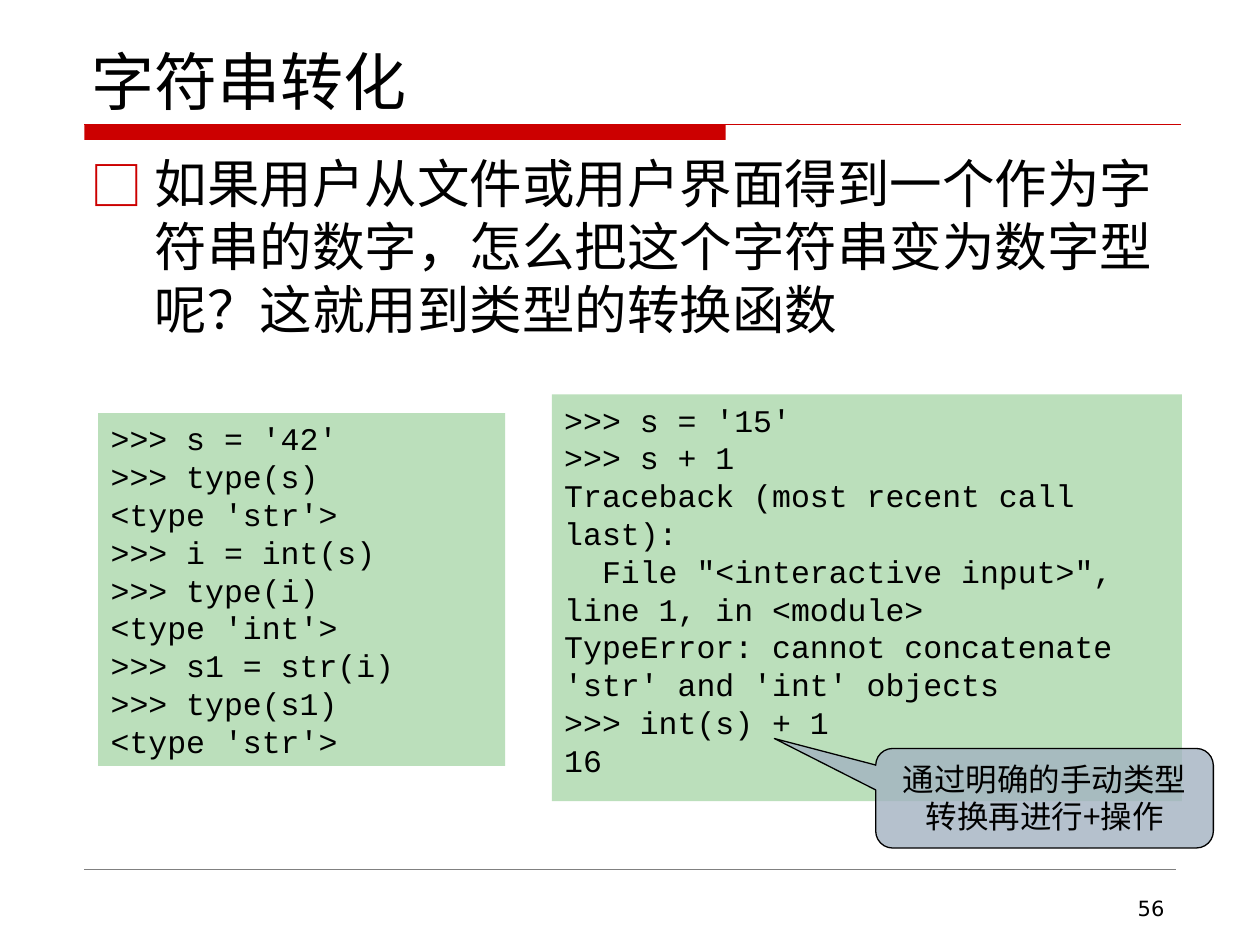
from lxml import etree
from pptx import Presentation
from pptx.dml.color import RGBColor
from pptx.enum.shapes import MSO_CONNECTOR, MSO_SHAPE
from pptx.enum.text import MSO_ANCHOR, PP_ALIGN
from pptx.oxml.ns import qn
from pptx.util import Inches, Pt

BLACK = RGBColor(0x00, 0x00, 0x00)
RED = RGBColor(0xCC, 0x00, 0x00)
GRAY = RGBColor(0x80, 0x80, 0x80)
GREEN = RGBColor(0xBB, 0xDF, 0xBB)
BLUE_GRAY = RGBColor(0xA3, 0xB2, 0xC1)
SANS, CJK, MONO = "DejaVu Sans", "Noto Sans CJK SC", "Courier New"


def write_text(shape, lines, size, font, align=PP_ALIGN.LEFT, anchor=MSO_ANCHOR.TOP):
    frame = shape.text_frame
    frame.word_wrap = True
    frame.vertical_anchor = anchor
    for index, line in enumerate(lines):
        paragraph = frame.paragraphs[0] if index == 0 else frame.add_paragraph()
        paragraph.alignment = align
        run = paragraph.add_run()
        run.text = line
        run.font.size = Pt(size)
        run.font.name = font
        run.font.color.rgb = BLACK
        east_asian = etree.SubElement(run._r.get_or_add_rPr(), qn("a:ea"))
        east_asian.set("typeface", CJK)


def add_rule(left, right, top, color, width):
    rule = slide.shapes.add_connector(
        MSO_CONNECTOR.STRAIGHT, Inches(left), Inches(top), Inches(right), Inches(top))
    rule.line.color.rgb = color
    rule.line.width = Pt(width)
    etree.SubElement(rule._element.spPr, qn("a:effectLst"))


presentation = Presentation()
presentation.slide_width = Inches(10)
presentation.slide_height = Inches(7.5)
slide = presentation.slides.add_slide(presentation.slide_layouts[6])

# Title underline and footer rule
bar = slide.shapes.add_shape(
    MSO_SHAPE.RECTANGLE, Inches(0.67), Inches(0.99), Inches(5.09), Inches(0.12))
bar.shadow.inherit = False
bar.fill.solid()
bar.fill.fore_color.rgb = RED
bar.line.fill.background()
add_rule(0.67, 9.37, 0.99, RED, 0.75)
add_rule(0.67, 9.33, 6.9, GRAY, 0.25)

# Title
title = slide.shapes.add_textbox(Inches(0.63), Inches(0.33), Inches(8.75), Inches(0.66))
write_text(title, ["字符串转化"], 36, SANS, anchor=MSO_ANCHOR.BOTTOM)

# Question with a square bullet
question = slide.shapes.add_textbox(Inches(0.62), Inches(1.15), Inches(8.75), Inches(5.43))
write_text(question, ["如果用户从文件或用户界面得到一个作为字符串的数字，"
                      "怎么把这个字符串变为数字型呢？这就用到类型的转换函数"], 30, CJK)
properties = question.text_frame.paragraphs[0]._p.get_or_add_pPr()
properties.set("marL", str(Inches(0.51)))
properties.set("indent", str(-Inches(0.51)))
bullet_color = etree.SubElement(properties, qn("a:buClr"))
etree.SubElement(bullet_color, qn("a:srgbClr")).set("val", str(RED))
etree.SubElement(properties, qn("a:buFont")).set("typeface", CJK)
etree.SubElement(properties, qn("a:buChar")).set("char", "□")

# Page number
page_number = slide.shapes.add_textbox(Inches(7.17), Inches(7.06), Inches(2.17), Inches(0.29))
write_text(page_number, ["56"], 12, SANS, PP_ALIGN.RIGHT)

# Code panels
conversion_code = [
    ">>> s = '42'", ">>> type(s)", "<type 'str'>",
    ">>> i = int(s)", ">>> type(i)", "<type 'int'>",
    ">>> s1 = str(i)", ">>> type(s1)", "<type 'str'>",
]
error_code = [
    ">>> s = '15'",
    ">>> s + 1",
    "Traceback (most recent call last):",
    "  File \"<interactive input>\", line 1, in <module>",
    "TypeError: cannot concatenate 'str' and 'int' objects",
    ">>> int(s) + 1",
    "16",
]
for left, top, width, height, code in [
    (0.78, 3.28, 3.23, 2.8, conversion_code),
    (4.38, 3.13, 5, 3.23, error_code),
]:
    panel = slide.shapes.add_shape(
        MSO_SHAPE.RECTANGLE, Inches(left), Inches(top), Inches(width), Inches(height))
    panel.shadow.inherit = False
    panel.fill.solid()
    panel.fill.fore_color.rgb = GREEN
    panel.line.fill.background()
    write_text(panel, code, 18, MONO)

# Translucent callout pointing at the conversion
callout = slide.shapes.add_shape(
    MSO_SHAPE.ROUNDED_RECTANGULAR_CALLOUT,
    Inches(6.95), Inches(5.94), Inches(2.68), Inches(0.79))
for index, value in enumerate([-0.8, -0.6, 0.17]):
    callout.adjustments[index] = value
callout.shadow.inherit = False
callout.fill.solid()
callout.fill.fore_color.rgb = BLUE_GRAY
fill_color = callout._element.spPr.find(qn("a:solidFill")).find(qn("a:srgbClr"))
etree.SubElement(fill_color, qn("a:alpha")).set("val", "80000")
callout.line.color.rgb = BLACK
callout.line.width = Pt(0.75)
write_text(callout, ["通过明确的手动类型转换再进行+操作"], 18, CJK, PP_ALIGN.CENTER)

presentation.save("out.pptx")
